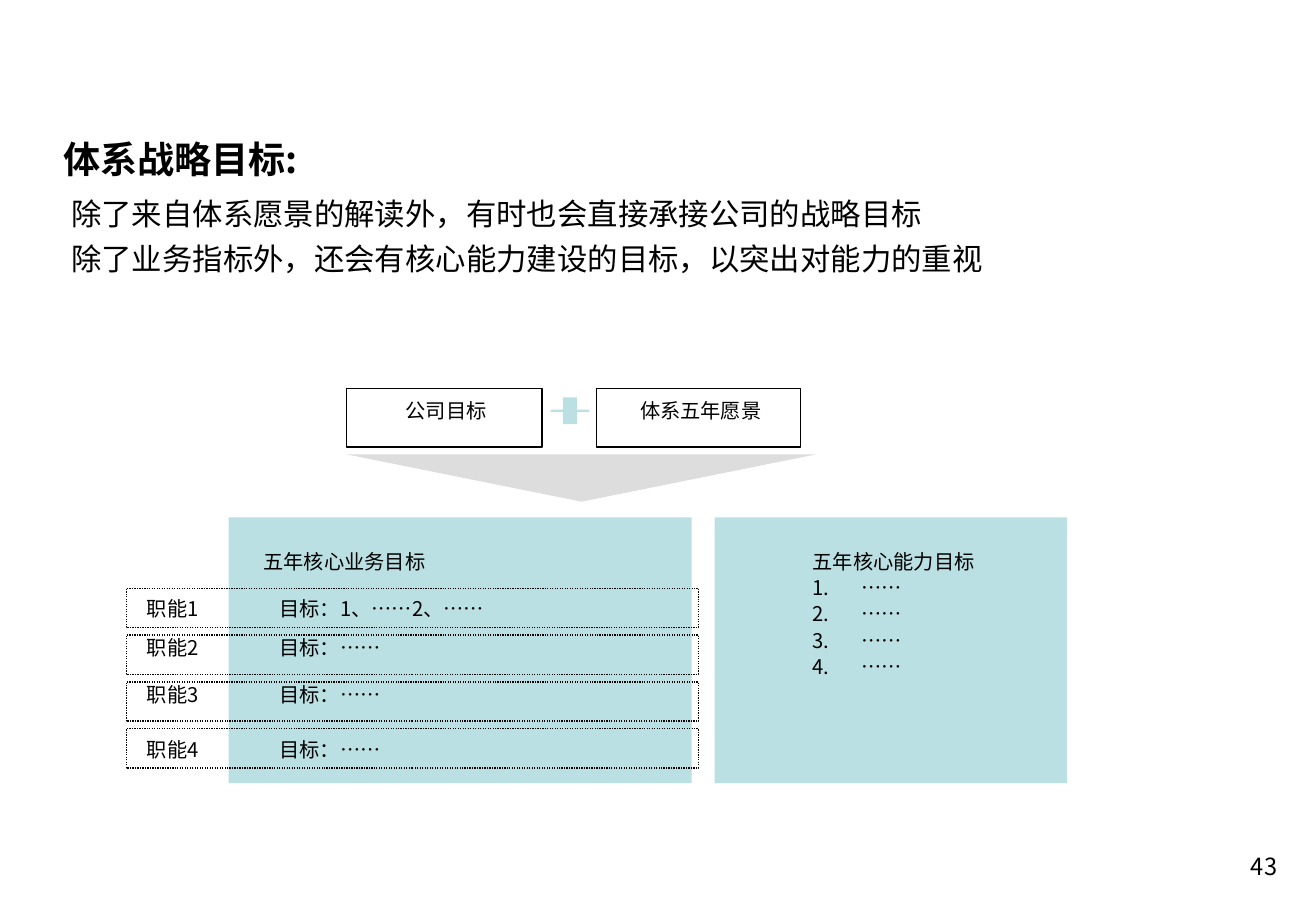
from pptx import Presentation
from pptx.dml.color import RGBColor
from pptx.enum.dml import MSO_LINE
from pptx.enum.shapes import MSO_SHAPE
from pptx.enum.text import PP_ALIGN
from pptx.oxml.ns import qn
from pptx.util import Cm, Pt
from lxml.etree import SubElement

BLACK = RGBColor(0, 0, 0)
TEAL = RGBColor(0xBB, 0xE0, 0xE3)
GRAY = RGBColor(0xDD, 0xDD, 0xDD)
TIGHT, MID, WIDE = 1.08, 1.24, 1.41


class Board:
    def __init__(self, slide, font):
        self.slide = slide
        self.font = font

    def shape(self, kind, x, y, w, h, fill=None, dash=None):
        """Draw a filled shape without a line, or an outline when fill is None."""
        item = self.slide.shapes.add_shape(kind, Cm(x), Cm(y), Cm(w), Cm(h))
        item.shadow.inherit = False
        if fill is None:
            item.fill.background()
            item.line.color.rgb = BLACK
            item.line.width = Pt(0.75)
            if dash:
                item.line.dash_style = dash
        else:
            item.fill.solid()
            item.fill.fore_color.rgb = fill
            item.line.fill.background()
        return item

    def rect(self, *place, **style):
        return self.shape(MSO_SHAPE.RECTANGLE, *place, **style)

    def text(self, x, y, w, h, *lines, size=12, space=TIGHT, bold=False,
             align=PP_ALIGN.LEFT, count=False):
        """Write one paragraph per line; count numbers all but the first."""
        frame = self.slide.shapes.add_textbox(Cm(x), Cm(y), Cm(w), Cm(h)).text_frame
        frame.word_wrap = True
        for i, line in enumerate(lines):
            para = frame.add_paragraph() if i else frame.paragraphs[0]
            para.text = line
            if count and i:
                self.number(para)
            para.alignment = align
            para.line_spacing = space
            font = para.font
            font.size = Pt(size)
            font.bold = bold
            font.color.rgb = BLACK
            font.name = self.font
            base = para._p.pPr.find(qn("a:defRPr"))
            SubElement(base, qn("a:ea"), typeface=self.font)

    def number(self, para):
        props = para._p.get_or_add_pPr()
        props.set("marL", str(Cm(1.02)))
        props.set("indent", str(Cm(-1.02)))
        SubElement(props, qn("a:buFont"), typeface=self.font)
        SubElement(props, qn("a:buAutoNum"), type="arabicPeriod")


def main():
    deck = Presentation()
    deck.slide_width, deck.slide_height = Cm(27.51), Cm(19.05)
    board = Board(deck.slides.add_slide(deck.slide_layouts[6]), "Noto Sans CJK SC")

    board.text(1.07, 2.51, 23.72, 13.36, "体系战略目标:", size=22, space=MID, bold=True)
    board.text(20.52, 17.68, 6.43, 0.89, "43", size=14, space=1, align=PP_ALIGN.RIGHT)
    board.text(1.24, 3.78, 22.2, 2.57,
               "除了来自体系愿景的解读外，有时也会直接承接公司的战略目标",
               "除了业务指标外，还会有核心能力建设的目标，以突出对能力的重视",
               size=18, space=MID)

    # Inputs
    board.rect(12.47, 8.13, 4.27, 1.22)
    board.text(13.13, 8.17, 3.12, 0.91, "体系五年愿景")
    board.rect(7.24, 8.13, 4.09, 1.22)
    board.text(8.23, 8.17, 2.46, 0.91, "公司目标")
    plus = board.shape(MSO_SHAPE.CROSS, 11.51, 8.31, 0.81, 0.56, fill=TEAL)
    plus.adjustments[0] = 0.46
    arrow = board.shape(MSO_SHAPE.ISOSCELES_TRIANGLE, 7.24, 9.5, 9.83, 0.99, fill=GRAY)
    arrow.rotation = 180

    # Goals
    board.rect(4.78, 10.82, 9.68, 5.56, fill=TEAL)
    board.text(5.26, 11.15, 4.6, 1.02, "五年核心业务目标", space=WIDE)
    board.rect(14.94, 10.82, 7.37, 5.56, fill=TEAL)
    board.text(16.74, 11.32, 4.6, 3.61, "五年核心能力目标", *["……"] * 4, count=True)

    # Functions
    rows = [(12.3, "目标：1、……2、……"), (13.12, "目标：……"),
            (14.1, "目标：……"), (15.25, "目标：……")]
    for i, (top, goal) in enumerate(rows):
        board.rect(2.64, 12.3 + 0.98 * i, 11.96, 0.82, dash=MSO_LINE.ROUND_DOT)
        board.text(2.82, top, 2.46, 0.89, f"职能{i + 1}")
        board.text(5.59, top, 8.69, 0.89, goal)

    deck.save("out.pptx")


if __name__ == "__main__":
    main()
